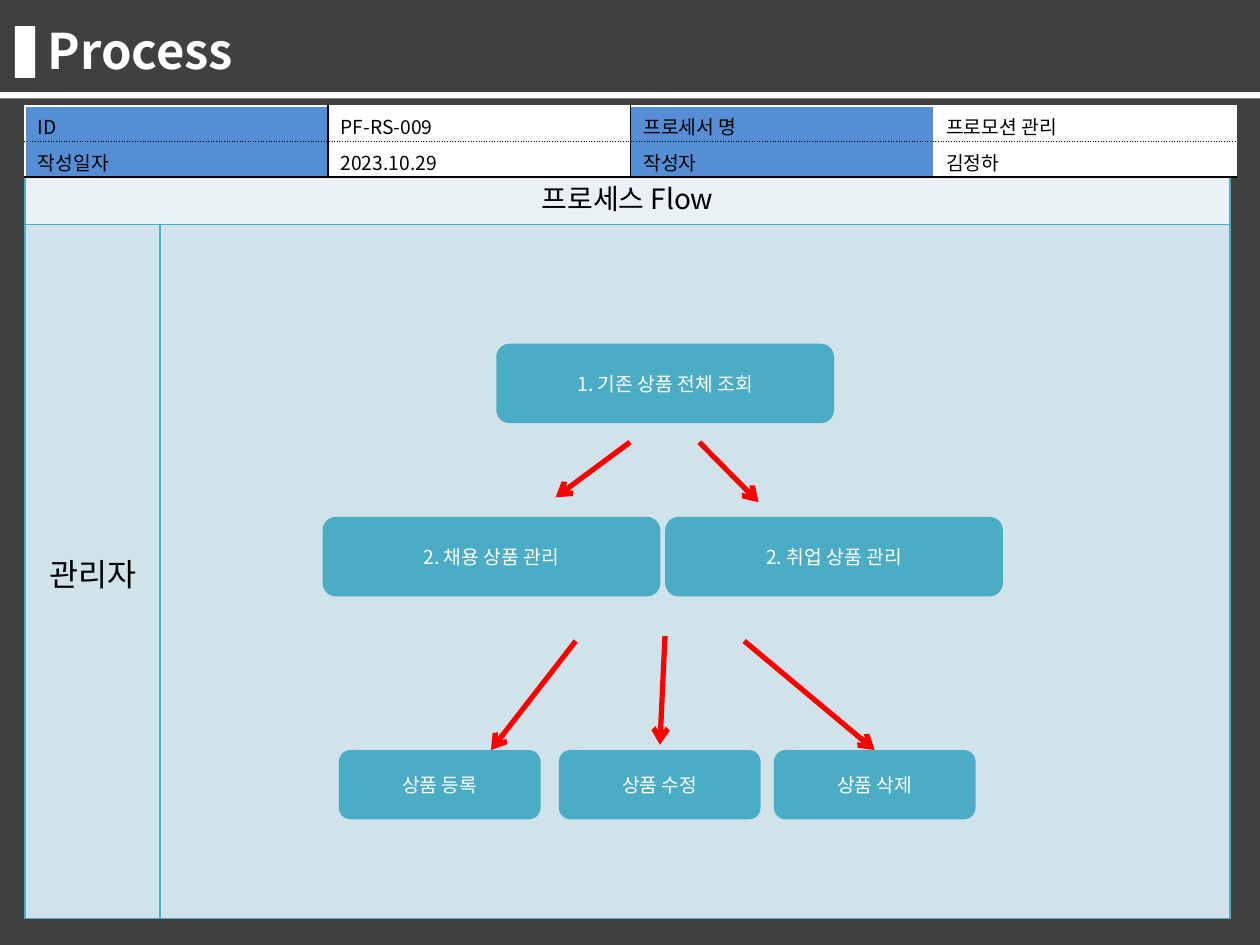
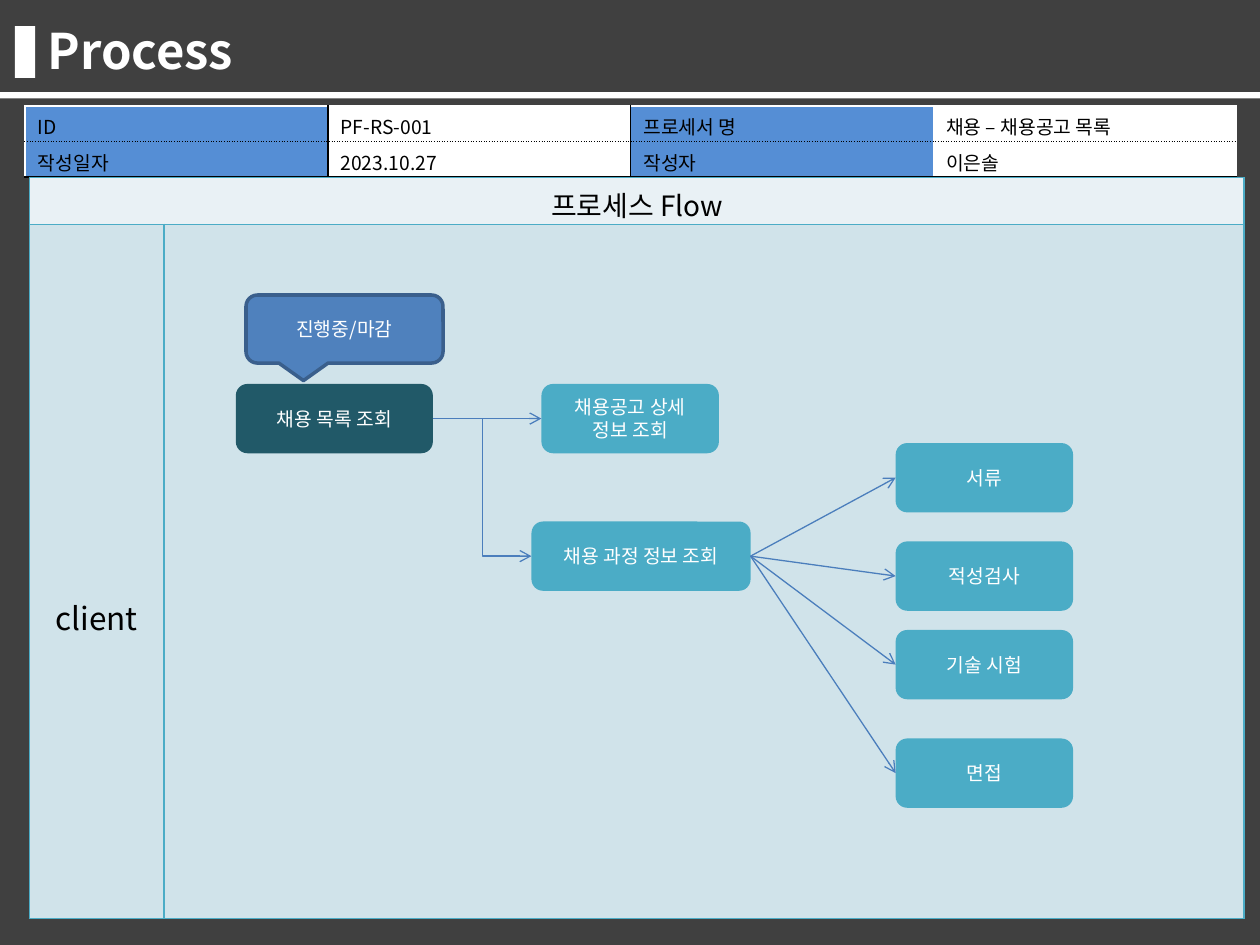
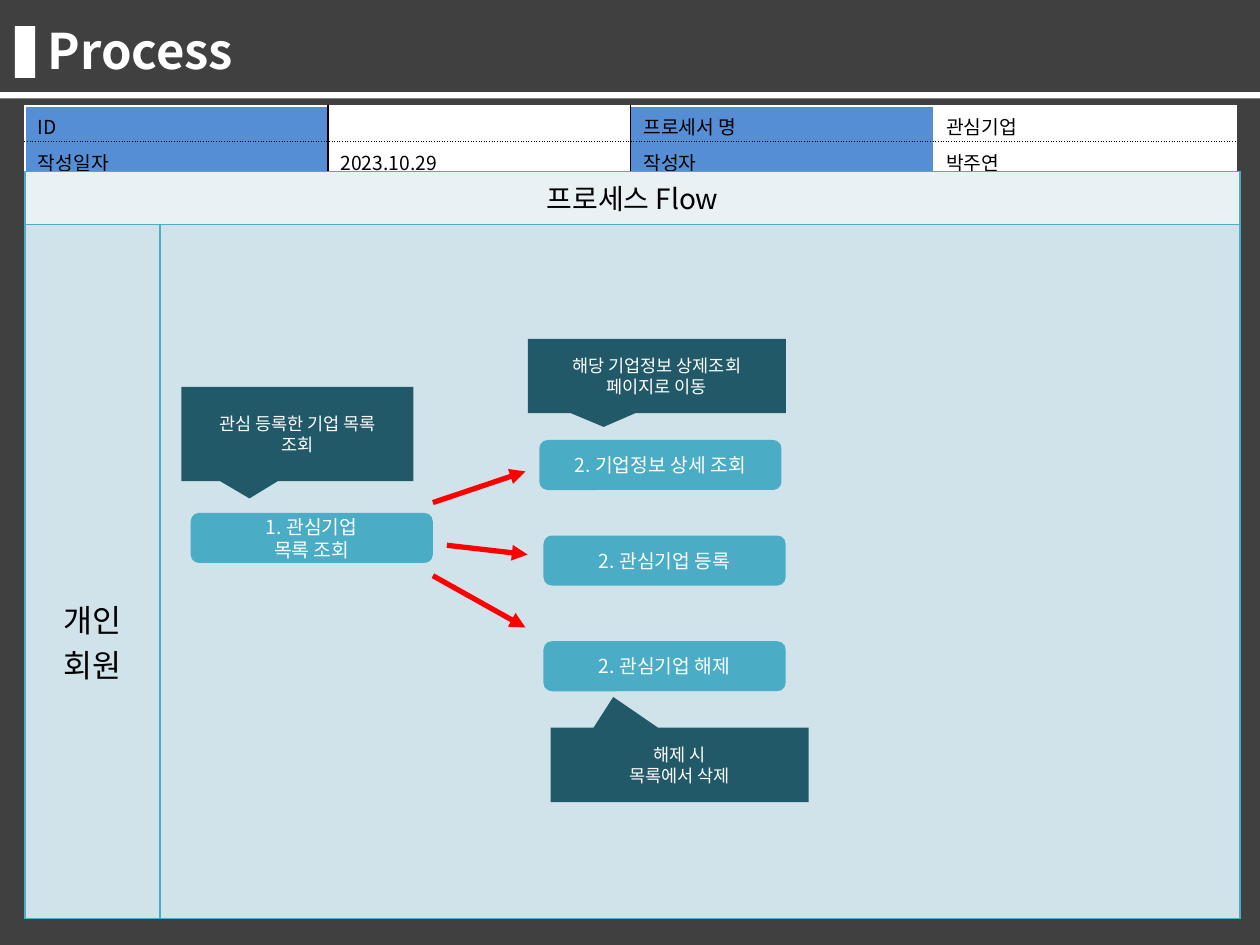
from lxml.etree import SubElement
from pptx import Presentation
from pptx.dml.color import RGBColor
from pptx.enum.shapes import MSO_CONNECTOR, MSO_SHAPE
from pptx.enum.text import MSO_ANCHOR, PP_ALIGN
from pptx.oxml.ns import qn
from pptx.util import Pt

FONT = "Noto Sans CJK KR"
WHITE = RGBColor(0xFF, 0xFF, 0xFF)
BLACK = RGBColor(0x00, 0x00, 0x00)
DARK_GRAY = RGBColor(0x40, 0x40, 0x40)
LABEL_BLUE = RGBColor(0x55, 0x8E, 0xD5)
TEAL = RGBColor(0x4B, 0xAC, 0xC6)
DARK_TEAL = RGBColor(0x21, 0x59, 0x68)
FLOW_HEADER = RGBColor(0xE9, 0xF1, 0xF5)
FLOW_BODY = RGBColor(0xD0, 0xE3, 0xEA)
CALLOUT_BLUE = RGBColor(0x4F, 0x81, 0xBD)
CALLOUT_EDGE = RGBColor(0x3A, 0x5F, 0x8C)
LINK_BLUE = RGBColor(0x4B, 0x7E, 0xBC)
RED = RGBColor(0xFF, 0x00, 0x00)

WIDTH, HEIGHT = 720, 540
FLOW_SPLIT, FLOW_BOTTOM = 128.2, 524.9
ACTOR_WIDTH = 77


class ProcessDeck:
    def __init__(self):
        self.presentation = Presentation()
        self.presentation.slide_width = Pt(WIDTH)
        self.presentation.slide_height = Pt(HEIGHT)
        self.slide = None

    def start_slide(self, title):
        layout = self.presentation.slide_layouts[6]
        self.slide = self.presentation.slides.add_slide(layout)
        self.shape(MSO_SHAPE.RECTANGLE, (0, 0, WIDTH, HEIGHT), DARK_GRAY)
        self.title(title)
        self.shape(MSO_SHAPE.RECTANGLE, (8.6, 15, 11.5, 29.5), WHITE)
        self.shape(MSO_SHAPE.RECTANGLE, (0, 52.6, WIDTH, 3.6), WHITE)

    def set_text(self, text_frame, text, size, color, align=PP_ALIGN.CENTER, bold=False):
        text_frame.text = text
        for paragraph in text_frame.paragraphs:
            paragraph.alignment = align
            if not paragraph.runs:
                SubElement(paragraph._p, qn("a:endParaRPr"), sz=str(size * 100))
            for run in paragraph.runs:
                run.font.size = Pt(size)
                run.font.bold = bold
                run.font.color.rgb = color
                run.font.name = FONT
                SubElement(run._r.get_or_add_rPr(), qn("a:ea"), typeface=FONT)

    def title(self, text):
        box = self.slide.shapes.add_textbox(Pt(20.2), Pt(9.4), Pt(646.6), Pt(41))
        frame = box.text_frame
        frame.word_wrap = True
        frame.vertical_anchor = MSO_ANCHOR.MIDDLE
        frame.margin_top, frame.margin_bottom = Pt(0), Pt(3)
        self.set_text(frame, text, 28, WHITE, PP_ALIGN.LEFT, True)

    def shape(self, preset, bounds, fill, text="", size=11, edge=None, adjustments=()):
        shape = self.slide.shapes.add_shape(preset, *map(Pt, bounds))
        shape.shadow.inherit = False
        shape.fill.solid()
        shape.fill.fore_color.rgb = fill
        if edge:
            shape.line.color.rgb = edge
            shape.line.width = Pt(2)
        else:
            shape.line.fill.background()
        for index, value in enumerate(adjustments):
            shape.adjustments[index] = value
        if text:
            shape.text_frame.word_wrap = True
            shape.text_frame.vertical_anchor = MSO_ANCHOR.MIDDLE
            self.set_text(shape.text_frame, text, size, WHITE)

    def step(self, text, left, top, width, height, fill=TEAL):
        self.shape(MSO_SHAPE.ROUNDED_RECTANGLE, (left, top, width, height), fill, text)

    def note(self, text, bounds, pointer=(-0.206, 0.685)):
        self.shape(MSO_SHAPE.RECTANGULAR_CALLOUT, bounds, DARK_TEAL, text, 10,
                   adjustments=pointer)

    def arrow(self, start, end, color=RED, width=3, head="arrow", kind=MSO_CONNECTOR.STRAIGHT):
        connector = self.slide.shapes.add_connector(kind, *map(Pt, (*start, *end)))
        connector.line.color.rgb = color
        connector.line.width = Pt(width)
        properties = connector._element.spPr
        SubElement(properties.find(qn("a:ln")), qn("a:tailEnd"), type=head)
        SubElement(properties, qn("a:effectLst"))

    def table(self, left, top, widths, heights):
        frame = self.slide.shapes.add_table(
            len(heights), len(widths), Pt(left), Pt(top), Pt(sum(widths)), Pt(sum(heights)))
        table = frame.table
        table.first_row = table.horz_banding = False
        for column, width in zip(table.columns, widths):
            column.width = Pt(width)
        for row, height in zip(table.rows, heights):
            row.height = Pt(height)
        return table

    def style_cell(self, cell, fill, borders):
        properties = cell._tc.get_or_add_tcPr()
        for side, (color, dash) in zip("LRTB", borders):
            line = SubElement(properties, qn(f"a:ln{side}"), w=str(Pt(1)))
            paint = SubElement(line, qn("a:solidFill"))
            SubElement(paint, qn("a:srgbClr"), val=str(color))
            SubElement(line, qn("a:prstDash"), val=dash)
        cell.fill.solid()
        cell.fill.fore_color.rgb = fill
        cell.margin_bottom = Pt(0)

    def info_table(self, process_id, name, date, author):
        rows = [("ID", process_id, "프로세서 명", name),
                ("작성일자", date, "작성자", author)]
        table = self.table(14.4, 60.5, [173] * 4, [20.4] * 2)
        vertical = [(color, "solid") for color in (WHITE, BLACK, BLACK, WHITE, WHITE)]
        horizontal = [(WHITE, "solid"), (BLACK, "sysDot"), (BLACK, "solid")]
        for row, texts in enumerate(rows):
            for column, text in enumerate(texts):
                cell = table.cell(row, column)
                self.set_text(cell.text_frame, text, 11, BLACK, PP_ALIGN.LEFT)
                borders = vertical[column:column + 2] + horizontal[row:row + 2]
                self.style_cell(cell, WHITE if column % 2 else LABEL_BLUE, borders)

    def flow_table(self, actor, left, top, body_width, actor_drop):
        table = self.table(left, top, [ACTOR_WIDTH, body_width],
                           [FLOW_SPLIT - top, FLOW_BOTTOM - FLOW_SPLIT])
        for index, cell in enumerate(table.iter_cells()):
            self.style_cell(cell, FLOW_HEADER if index < 2 else FLOW_BODY,
                            [(TEAL, "solid")] * 4)
        header, actor_cell = table.cell(0, 0), table.cell(1, 0)
        header.merge(table.cell(0, 1))
        self.set_text(header.text_frame, "프로세스 Flow", 16, BLACK)
        self.set_text(actor_cell.text_frame, actor, 18, BLACK)
        actor_cell.vertical_anchor = MSO_ANCHOR.MIDDLE
        actor_cell.margin_top = Pt(actor_drop)


def promotion_slide(deck):
    deck.start_slide("Process")
    deck.flow_table("관리자", 14.4, 97.9, 611.5, 2)
    deck.info_table("PF-RS-009", "프로모션 관리", "2023.10.29", "김정하")
    deck.step("1. 기존 상품 전체 조회", 283.6, 196.4, 193, 45.4)
    for text, left in (("2. 채용 상품 관리", 184.3), ("2. 취업 상품 관리", 380.1)):
        deck.step(text, left, 295.4, 193, 45.4)
    for text, left in (("상품 등록", 193.7), ("상품 수정", 319.4), ("상품 삭제", 442.3)):
        deck.step(text, left, 428.6, 115.2, 39.6)
    for start, end in (((360, 252.7), (317.5, 284.2)),
                       ((399.6, 252.7), (433.5, 287)),
                       ((329, 366.3), (280.6, 428.6)),
                       ((380, 363.5), (377.1, 425.6)),
                       ((425.3, 366.3), (499.8, 428.6))):
        deck.arrow(start, end)


def job_list_slide(deck):
    deck.start_slide("Process")
    deck.info_table("PF-RS-001", "채용 – 채용공고 목록", "2023.10.27", "이은솔")
    deck.flow_table("client", 16.8, 101.5, 617.2, 52)
    height = 39.6
    deck.step("채용 목록 조회", 134.8, 219.4, 112.6, height, DARK_TEAL)
    deck.shape(MSO_SHAPE.ROUNDED_RECTANGULAR_CALLOUT, (140.6, 168.6, 112.6, 38.9),
               CALLOUT_BLUE, "진행중/마감", edge=CALLOUT_EDGE,
               adjustments=(-0.208, 0.758, 0.167))
    deck.step("채용공고 상세 정보 조회", 309.4, 219.4, 101.4, height)
    deck.step("채용 과정 정보 조회", 303.7, 298, 125.2, height)
    list_exit, process_exit = (247.4, 239.2), (428.9, 317.8)
    deck.arrow(list_exit, (309.4, 239.2), LINK_BLUE, 0.75)
    deck.arrow(list_exit, (303.7, 317.8), LINK_BLUE, 0.75, kind=MSO_CONNECTOR.ELBOW)
    stages = (("서류", 253.2), ("적성검사", 309.4), ("기술 시험", 360), ("면접", 422))
    for text, top in stages:
        deck.step(text, 511.8, top, 101.4, height)
        deck.arrow(process_exit, (511.8, top + height / 2), LINK_BLUE, 0.75)


def favorite_company_slide(deck):
    deck.start_slide("Process")
    deck.info_table("", "관심기업", "2023.10.29", "박주연")
    deck.flow_table("개인\n회원", 14.4, 97.9, 617.2, 80)
    for text, left, top in (("1. 관심기업\n목록 조회", 109, 293.1),
                            ("2. 기업정보 상세 조회", 308.2, 251.4),
                            ("2. 관심기업 등록", 310.6, 306),
                            ("2. 관심기업 해제", 310.6, 366.4)):
        deck.step(text, left, top, 138.4, 28.6)
    deck.note("관심 등록한 기업 목록\n조회", (103.6, 221.1, 132.6, 53.8))
    deck.note("해당 기업정보 상제조회\n페이지로 이동", (301.6, 193.6, 147.5, 42.5))
    deck.note("해제 시\n목록에서 삭제", (314.6, 415.8, 147.5, 42.5), (-0.257, -0.913))
    for start, end in (((247.4, 287.2), (300.3, 269.4)),
                       ((255.4, 311.6), (301.5, 316.9)),
                       ((247.4, 329), (300.3, 358.6))):
        deck.arrow(start, end, head="triangle")


def main():
    deck = ProcessDeck()
    promotion_slide(deck)
    job_list_slide(deck)
    favorite_company_slide(deck)
    deck.presentation.save("out.pptx")


if __name__ == "__main__":
    main()
